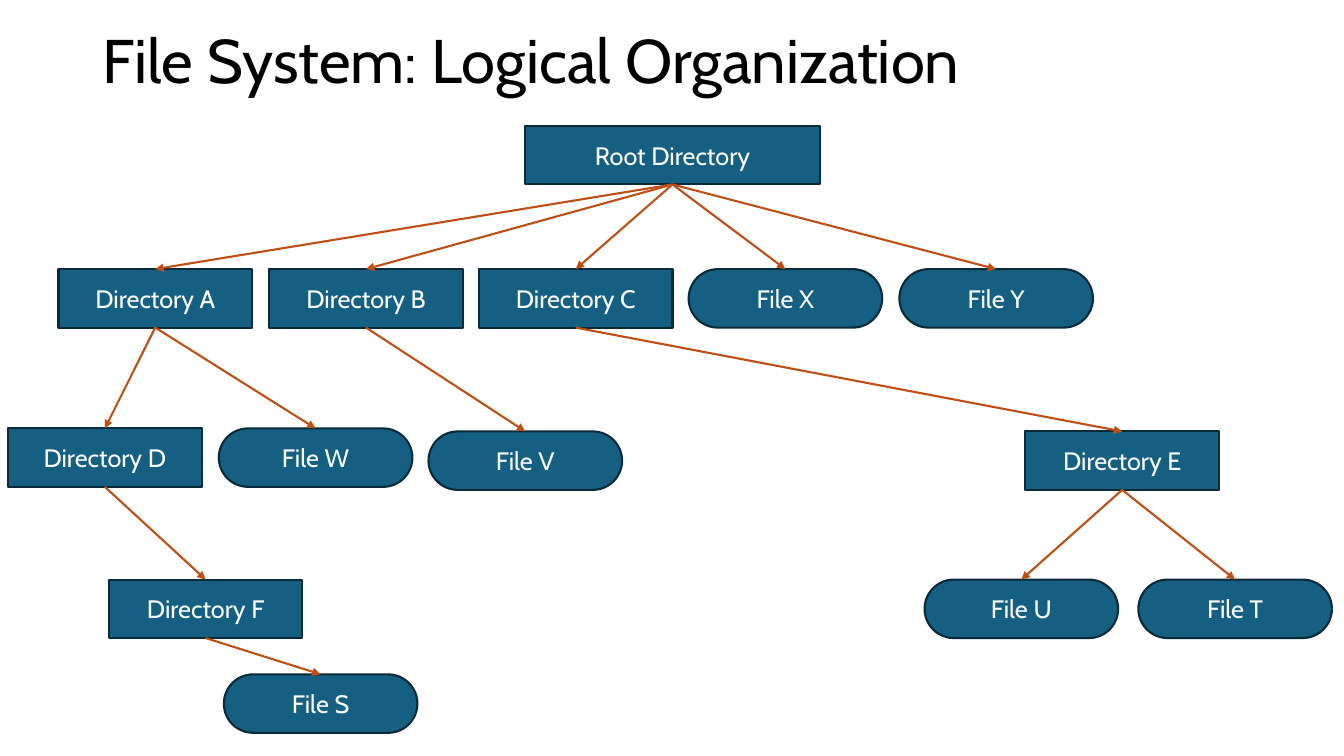
from lxml import etree
from pptx import Presentation
from pptx.dml.color import RGBColor
from pptx.enum.shapes import MSO_CONNECTOR, MSO_SHAPE
from pptx.enum.text import MSO_ANCHOR, PP_ALIGN
from pptx.oxml.ns import qn
from pptx.util import Inches, Pt

RECT, PILL = MSO_SHAPE.RECTANGLE, MSO_SHAPE.ROUNDED_RECTANGLE
STRAIGHT = MSO_CONNECTOR.STRAIGHT
MIDDLE = MSO_ANCHOR.MIDDLE
LEFT, CENTER = PP_ALIGN.LEFT, PP_ALIGN.CENTER

BLACK = RGBColor(0x00, 0x00, 0x00)
WHITE = RGBColor(0xFF, 0xFF, 0xFF)
BLUE = RGBColor(0x15, 0x60, 0x82)
NAVY = RGBColor(0x09, 0x2A, 0x39)
ORANGE = RGBColor(0xC0, 0x4F, 0x15)
FONT = "Cabin"

TITLE = "File System: Logical Organization"
ROOT = "Root Directory"
# name, parent, left, top
NODES = [
    (ROOT, None, 5.21, 1.25),
    ("Directory A", ROOT, 0.58, 2.67),
    ("Directory B", ROOT, 2.67, 2.67),
    ("Directory C", ROOT, 4.75, 2.67),
    ("File X", ROOT, 6.83, 2.67),
    ("File Y", ROOT, 8.92, 2.67),
    ("Directory D", "Directory A", 0.08, 4.25),
    ("File W", "Directory A", 2.17, 4.25),
    ("File V", "Directory B", 4.25, 4.28),
    ("Directory E", "Directory C", 10.17, 4.28),
    ("Directory F", "Directory D", 1.08, 5.75),
    ("File U", "Directory E", 9.17, 5.75),
    ("File T", "Directory E", 11.29, 5.75),
    ("File S", "Directory F", 2.22, 6.69),
]
NODE_W, ROOT_W, NODE_H = 1.92, 2.92, 0.58
TOP_SITE, BOTTOM_SITE = 0, 2


def set_text(shape, text, size, color, align):
    tf = shape.text_frame
    tf.text = text
    tf.word_wrap = True
    tf.vertical_anchor = MIDDLE
    p = tf.paragraphs[0]
    p.alignment = align
    font = p.runs[0].font
    font.name, font.size, font.color.rgb = FONT, Pt(size), color
    return p


def add_node(s, name, left, top):
    """Directories are rectangles, files are pills."""
    is_file = name.startswith("File")
    width = ROOT_W if name == ROOT else NODE_W
    node = s.shapes.add_shape(PILL if is_file else RECT, Inches(left), Inches(top),
                              Inches(width), Inches(NODE_H))
    if is_file:
        node.adjustments[0] = 0.5
    node.shadow.inherit = False
    node.fill.solid()
    node.fill.fore_color.rgb = BLUE
    node.line.color.rgb = NAVY
    node.line.width = Pt(1.5)
    set_text(node, name, 18, WHITE, CENTER)
    return node


def add_arrow(s, parent, child):
    arrow = s.shapes.add_connector(STRAIGHT, 0, 0, 0, 0)
    arrow.begin_connect(parent, BOTTOM_SITE)
    arrow.end_connect(child, TOP_SITE)
    arrow.line.color.rgb = ORANGE
    arrow.line.width = Pt(1.5)
    etree.SubElement(arrow.line._get_or_add_ln(), qn("a:tailEnd"), type="triangle")
    etree.SubElement(arrow._element.spPr, qn("a:effectLst"))


def main():
    prs = Presentation()
    prs.slide_width, prs.slide_height = Inches(13.33), Inches(7.5)
    s = prs.slides.add_slide(prs.slide_layouts[5])

    title = s.shapes.title
    title.left, title.top = Inches(0.92), Inches(0.17)
    title.width, title.height = Inches(11.5), Inches(0.93)
    set_text(title, TITLE, 44, BLACK, LEFT).line_spacing = 0.9

    nodes = {name: add_node(s, name, left, top) for name, _, left, top in NODES}
    for name, parent, _, _ in NODES:
        if parent:
            add_arrow(s, nodes[parent], nodes[name])

    prs.save("out.pptx")


if __name__ == "__main__":
    main()
